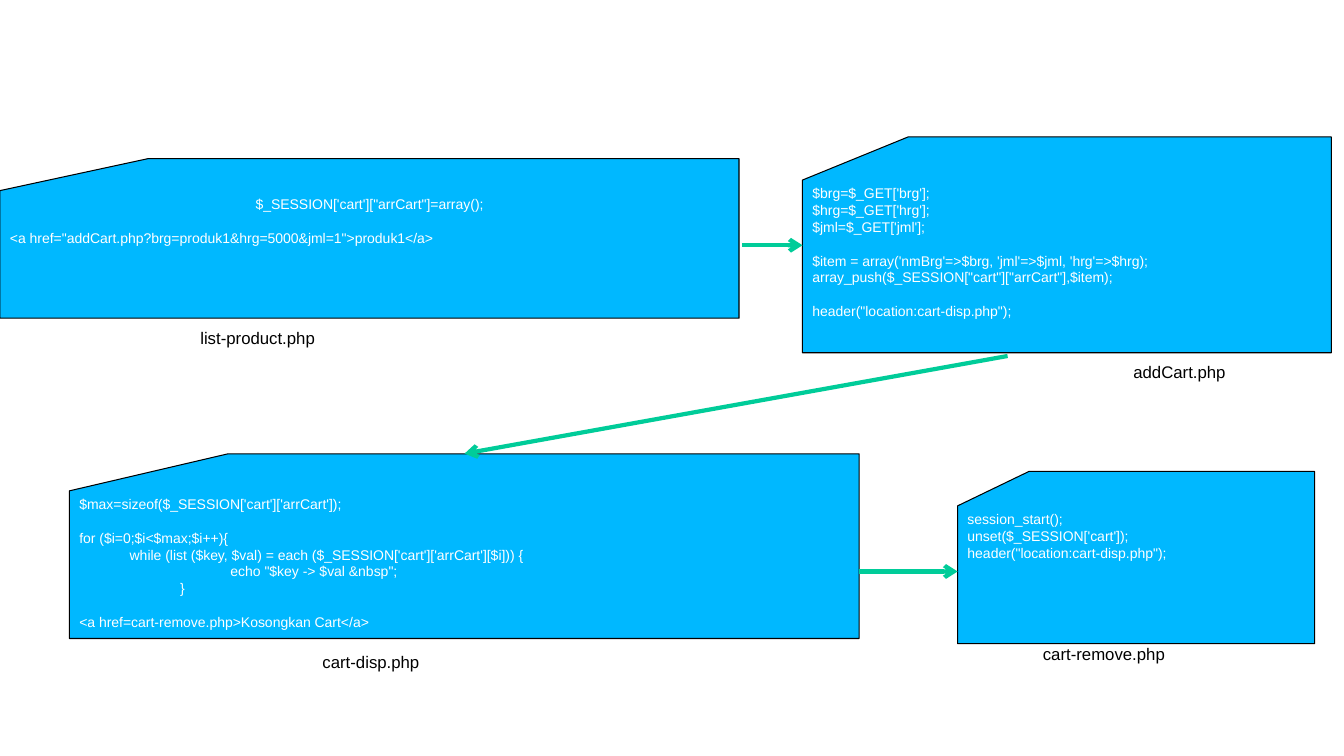
from lxml import etree
from pptx import Presentation
from pptx.dml.color import RGBColor
from pptx.enum.shapes import MSO_CONNECTOR, MSO_SHAPE
from pptx.enum.text import MSO_ANCHOR, PP_ALIGN
from pptx.oxml.ns import qn
from pptx.util import Cm, Pt

CARD = MSO_SHAPE.FLOWCHART_CARD
LINE = MSO_CONNECTOR.STRAIGHT
TOP = MSO_ANCHOR.TOP
LEFT, CENTER = PP_ALIGN.LEFT, PP_ALIGN.CENTER

FONT = "Arial"
PITCH = Pt(12)
TAB = Cm(1.27)
COLORS = {"card": "00B8FF", "code": "FFFFFF", "ink": "000000", "arrow": "00CC99"}

# Box in cm, then code: an empty line is a gap, a leading tab is an indent step.
CARDS = [
    ((0, 4, 18.63, 4.02), """\
$_SESSION['cart']["arrCart"]=array();

<a href="addCart.php?brg=produk1&hrg=5000&jml=1">produk1</a>"""),
    ((20.23, 3.45, 13.33, 5.44), """\
$brg=$_GET['brg'];
$hrg=$_GET['hrg'];
$jml=$_GET['jml'];

$item = array('nmBrg'=>$brg, 'jml'=>$jml, 'hrg'=>$hrg);
array_push($_SESSION["cart"]["arrCart"],$item);

header("location:cart-disp.php");"""),
    ((1.75, 11.44, 19.91, 4.65), """\
$max=sizeof($_SESSION['cart']['arrCart']);

for ($i=0;$i<$max;$i++){
\twhile (list ($key, $val) = each ($_SESSION['cart']['arrCart'][$i])) {
\t\t\techo "$key -> $val &nbsp";
\t\t}

<a href=cart-remove.php>Kosongkan Cart</a>"""),
    ((24.14, 11.88, 9, 4.34), """\
session_start();
unset($_SESSION['cart']);
header("location:cart-disp.php");"""),
]
LABELS = [
    ((4.8, 8.13, 3.6, 0.76), "list-product.php"),
    ((28.32, 8.98, 3, 0.76), "addCart.php"),
    ((7.88, 16.31, 3.15, 0.76), "cart-disp.php"),
    ((26.04, 16.1, 3.8, 0.76), "cart-remove.php"),
]
ARROWS = [
    (18.7, 6.18, 20.23, 6.18),
    (25.4, 8.97, 11.71, 11.43),
    (21.65, 14.4, 24.14, 14.4),
]


def color(name):
    return RGBColor.from_string(COLORS[name])


def add_run(para, text, size, name):
    run = para.add_run()
    run.text = text
    run.font.name = FONT
    run.font.size = Pt(size)
    run.font.color.rgb = color(name)


def add_code(frame, code):
    """Write code lines, with gaps as spacing and tabs as left margins."""
    para, gap = frame.paragraphs[0], False
    for row, line in enumerate(code.split("\n")):
        if not line:
            gap = True
            continue
        if row:
            para = frame.add_paragraph()
        para.alignment = LEFT
        para.line_spacing = PITCH
        para.space_before = PITCH if gap else Pt(0)
        text = line.lstrip("\t")
        steps = len(line) - len(text)
        if steps:
            para._p.get_or_add_pPr().set("marL", str(steps * TAB))
        add_run(para, text, 10, "code")
        gap = False


def add_card(slide, box, code):
    card = slide.shapes.add_shape(CARD, *map(Cm, box))
    card.shadow.inherit = False
    card.fill.solid()
    card.fill.fore_color.rgb = color("card")
    card.line.color.rgb = color("ink")
    card.line.width = Pt(0.75)
    card.text_frame.word_wrap = True
    card.text_frame.vertical_anchor = TOP
    add_code(card.text_frame, code)
    return card


def add_label(slide, box, text):
    frame = slide.shapes.add_textbox(*map(Cm, box)).text_frame
    frame.word_wrap = True
    add_run(frame.paragraphs[0], text, 12, "ink")


def add_arrow(slide, ends):
    arrow = slide.shapes.add_connector(LINE, *map(Cm, ends))
    arrow.line.color.rgb = color("arrow")
    arrow.line.width = Pt(3)
    etree.SubElement(arrow.line._get_or_add_ln(), qn("a:tailEnd"), type="arrow")
    etree.SubElement(arrow._element.spPr, qn("a:effectLst"))


def main():
    deck = Presentation()
    deck.slide_width, deck.slide_height = Cm(33.88), Cm(19.05)
    slide = deck.slides.add_slide(deck.slide_layouts[6])
    cards = [add_card(slide, box, code) for box, code in CARDS]
    cards[0].text_frame.paragraphs[0].alignment = CENTER
    for box, text in LABELS:
        add_label(slide, box, text)
    for ends in ARROWS:
        add_arrow(slide, ends)
    deck.save("out.pptx")


if __name__ == "__main__":
    main()
